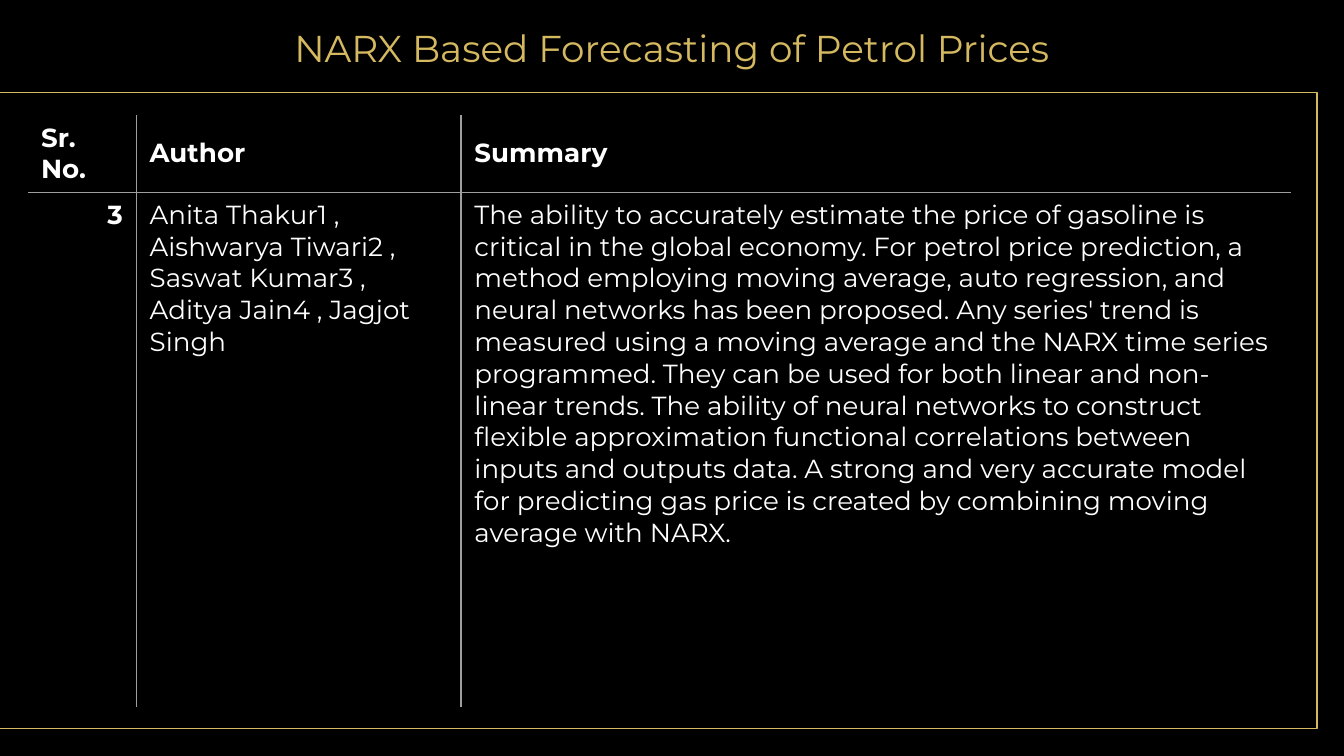
"""Build the literature review slide on NARX based petrol price forecasting."""
from dataclasses import dataclass

from lxml.etree import SubElement
from pptx import Presentation
from pptx.dml.color import RGBColor
from pptx.enum.shapes import MSO_SHAPE
from pptx.enum.text import MSO_ANCHOR, PP_ALIGN
from pptx.oxml.ns import qn
from pptx.util import Pt


@dataclass(frozen=True)
class Theme:
    background: str = "000000"
    gold: str = "D5B961"
    text: str = "FFFFFF"
    rule: str = "9E9E9E"
    font: str = "Montserrat"
    title_size: int = 20
    body_size: int = 14
    line_width: float = 0.75


theme = Theme()


def add_text(frame, text, size, color, bold=False, align=PP_ALIGN.LEFT):
    paragraph = frame.paragraphs[0]
    paragraph.alignment = align
    run = paragraph.add_run()
    run.text = text
    run.font.name = theme.font
    run.font.size = Pt(size)
    run.font.bold = bold
    run.font.color.rgb = RGBColor.from_string(color)


def add_borders(cell, ruled_sides):
    properties = cell._tc.get_or_add_tcPr()
    for side in ("L", "R", "T", "B"):
        border = SubElement(properties, qn(f"a:ln{side}"), w=str(Pt(theme.line_width)))
        if side in ruled_sides:
            fill = SubElement(border, qn("a:solidFill"))
            SubElement(fill, qn("a:srgbClr"), val=theme.rule)
        else:
            SubElement(border, qn("a:noFill"))


presentation = Presentation()
presentation.slide_width = Pt(720)
presentation.slide_height = Pt(405)
slide = presentation.slides.add_slide(presentation.slide_layouts[6])
slide.background.fill.solid()
slide.background.fill.fore_color.rgb = RGBColor.from_string(theme.background)

frame = slide.shapes.add_shape(MSO_SHAPE.RECTANGLE, Pt(-5), Pt(49.7), Pt(710.5), Pt(340.5))
frame.shadow.inherit = False
frame.fill.background()
frame.line.color.rgb = RGBColor.from_string(theme.gold)
frame.line.width = Pt(theme.line_width)

title = slide.shapes.add_textbox(Pt(36.7), Pt(4.3), Pt(646.6), Pt(40.3)).text_frame
title.word_wrap = True
title.vertical_anchor = MSO_ANCHOR.BOTTOM
title.margin_left = title.margin_right = title.margin_top = title.margin_bottom = Pt(7.2)
add_text(title, "NARX Based Forecasting of Petrol Prices", theme.title_size, theme.gold,
         align=PP_ALIGN.CENTER)

headings = ("Sr. No.", "Author", "Summary")
paper = (
    "3",
    "Anita Thakur1 , Aishwarya Tiwari2 , Saswat Kumar3 , Aditya Jain4 , Jagjot Singh",
    "The ability to accurately estimate the price of gasoline is critical in the global "
    "economy. For petrol price prediction, a method employing moving average, auto "
    "regression, and neural networks has been proposed. Any series' trend is measured "
    "using a moving average and the NARX time series programmed. They can be used for "
    "both linear and non-linear trends. The ability of neural networks to construct "
    "flexible approximation functional correlations between inputs and outputs data. "
    "A strong and very accurate model for predicting gas price is created by combining "
    "moving average with NARX.",
)
column_widths = (58.2, 174, 444.4)
row_heights = (41.5, 276)

review = slide.shapes.add_table(2, 3, Pt(14.8), Pt(61.5), Pt(sum(column_widths)),
                                Pt(sum(row_heights))).table
review.first_row = False
review.horz_banding = False
for column, width in zip(review.columns, column_widths):
    column.width = Pt(width)
for row, height in zip(review.rows, row_heights):
    row.height = Pt(height)

for row_index, entries in enumerate((headings, paper)):
    is_heading = row_index == 0
    for column_index, entry in enumerate(entries):
        is_number = column_index == 0
        cell = review.cell(row_index, column_index)
        cell.vertical_anchor = MSO_ANCHOR.MIDDLE if is_heading else MSO_ANCHOR.TOP
        ruled_sides = "B" if is_heading else "T"
        if column_index > 0:
            ruled_sides += "L"
        if column_index < len(entries) - 1:
            ruled_sides += "R"
        add_borders(cell, ruled_sides)
        cell.fill.background()
        align = PP_ALIGN.RIGHT if is_number and not is_heading else PP_ALIGN.LEFT
        add_text(cell.text_frame, entry, theme.body_size, theme.text,
                 is_heading or is_number, align)

presentation.save("out.pptx")
